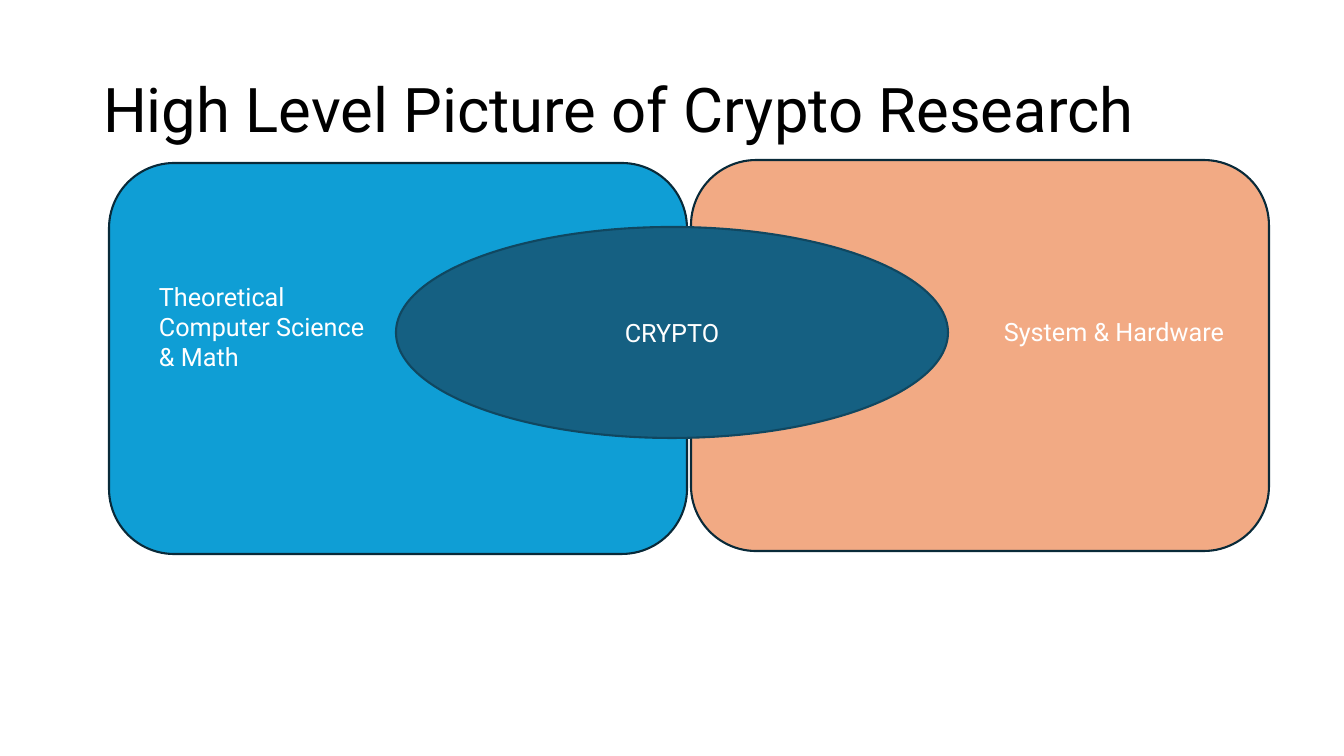
from pptx import Presentation
from pptx import util as u
from pptx.dml.color import RGBColor
from pptx.enum import shapes, text

PX = 914400 / 100.8  # EMU in one px

BLACK = RGBColor(0x00, 0x00, 0x00)
WHITE = RGBColor(0xFF, 0xFF, 0xFF)
BLUE = RGBColor(0x0F, 0x9E, 0xD5)
PEACH = RGBColor(0xF2, 0xAA, 0x84)
TEAL = RGBColor(0x15, 0x60, 0x82)
NAVY = RGBColor(0x09, 0x2A, 0x39)
DARK_TEAL = RGBColor(0x10, 0x47, 0x60)


def px(*lengths):
    return [u.Emu(round(length * PX)) for length in lengths]


class Page:
    font = "Roboto"
    body_size = 18
    title_size = 44
    line_width = 1.5

    def __init__(self, deck):
        self.slide = deck.slides.add_slide(deck.slide_layouts[5])

    def set_text(self, box, lines, size, color, align, anchor):
        frame = box.text_frame
        frame.word_wrap = True
        frame.vertical_anchor = anchor
        frame.text = "\n".join(lines)
        for para in frame.paragraphs:
            para.alignment = align
            para.font.name = self.font
            para.font.size = u.Pt(size)
            para.font.color.rgb = color
        return frame

    def title(self, wording, *place):
        box = self.slide.shapes.title
        box.left, box.top, box.width, box.height = px(*place)
        frame = self.set_text(box, [wording], self.title_size, BLACK,
                              text.PP_ALIGN.LEFT, text.MSO_ANCHOR.MIDDLE)
        frame.auto_size = text.MSO_AUTO_SIZE.NONE
        frame.paragraphs[0].line_spacing = 0.9

    def shape(self, kind, fill, line, *place, label=None):
        box = self.slide.shapes.add_shape(kind, *px(*place))
        box.shadow.inherit = False
        box.fill.solid()
        box.fill.fore_color.rgb = fill
        box.line.color.rgb = line
        box.line.width = u.Pt(self.line_width)
        if label:
            self.set_text(box, [label], self.body_size, WHITE,
                          text.PP_ALIGN.CENTER, text.MSO_ANCHOR.MIDDLE)

    def label(self, lines, *place):
        box = self.slide.shapes.add_textbox(*px(*place))
        frame = self.set_text(box, lines, self.body_size, WHITE,
                              text.PP_ALIGN.LEFT, text.MSO_ANCHOR.TOP)
        frame.auto_size = text.MSO_AUTO_SIZE.SHAPE_TO_FIT_TEXT


def main():
    deck = Presentation()
    deck.slide_width, deck.slide_height = px(1344, 756)
    page = Page(deck)
    page.title("High Level Picture of Crypto Research", 93, 40, 1159, 146)

    # The two neighbouring fields
    field = shapes.MSO_SHAPE.ROUNDED_RECTANGLE
    page.shape(field, PEACH, NAVY, 691, 160, 578, 391)
    page.shape(field, BLUE, NAVY, 109, 163, 578, 391)

    # Crypto spans both fields
    page.shape(shapes.MSO_SHAPE.OVAL, TEAL, DARK_TEAL, 396, 227, 552, 211,
               label="CRYPTO")

    # Field names
    page.label(["Theoretical Computer Science", "& Math"], 149, 276, 228, 102)
    page.label(["System & Hardware"], 994, 311, 257, 40)

    deck.save("out.pptx")


if __name__ == "__main__":
    main()
